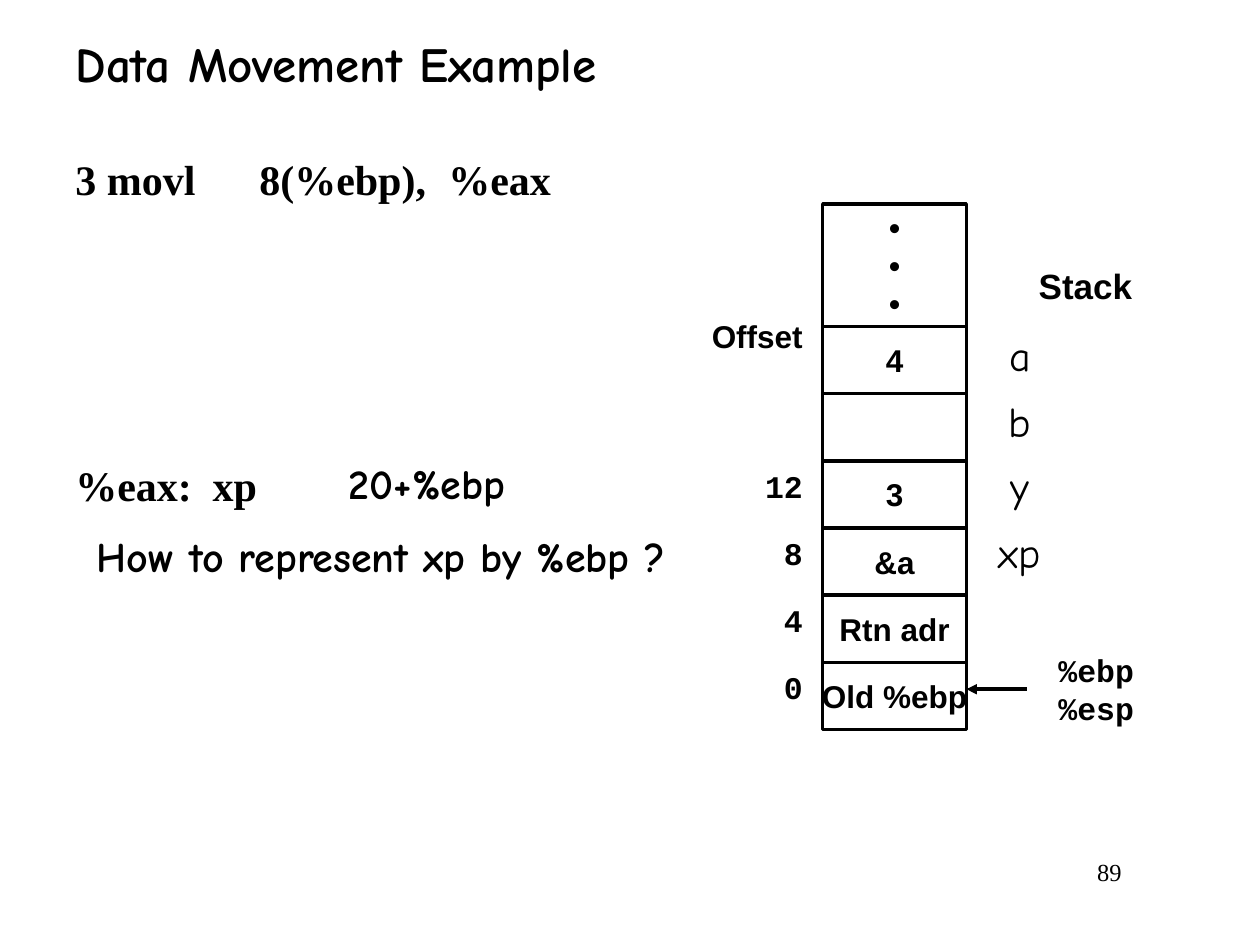
from pptx import Presentation
from pptx.dml.color import RGBColor
from pptx.enum.shapes import MSO_CONNECTOR as Connector, MSO_SHAPE as Shape
from pptx.enum.text import MSO_ANCHOR as Anchor, PP_ALIGN as Align
from pptx.oxml.xmlchemy import OxmlElement
from pptx.util import Inches, Pt

COLORS = {"ink": "000000", "paper": "FFFFFF"}
COMIC, SERIF, SANS, MONO = "Comic Neue", "Times New Roman", "Arial", "Courier New"


def color(name):
    return RGBColor.from_string(COLORS[name])


def write(frame, text, font, size, align=Align.LEFT, bold=True):
    frame.text = text
    for para in frame.paragraphs:
        para.alignment = align
        for span in para.runs:
            span.font.name = font
            span.font.size = Pt(size)
            span.font.bold = bold
            span.font.color.rgb = color("ink")


def add_label(page, box, text, font, size, align=Align.LEFT, bold=True):
    label = page.shapes.add_textbox(*map(Inches, box))
    label.text_frame.word_wrap = True
    write(label.text_frame, text, font, size, align, bold)
    return label.text_frame


def add_tabs(para, positions):
    tab_list = OxmlElement("a:tabLst")
    for position in positions:
        tab = OxmlElement("a:tab")
        tab.set("pos", str(Inches(position)))
        tab.set("algn", "l")
        tab_list.append(tab)
    para._p.get_or_add_pPr().append(tab_list)


def add_title(page, box, text):
    title = page.shapes.title
    title.left, title.top, title.width, title.height = map(Inches, box)
    title.text_frame.vertical_anchor = Anchor.MIDDLE
    write(title.text_frame, text, COMIC, 28)


def add_code(page, box):
    text = "3 movl\t8(%ebp),\t%eax\n%eax:\txp"
    frame = add_label(page, box, text, SERIF, 24)
    instruction, result = frame.paragraphs
    add_tabs(instruction, [1.46, 2.96])
    add_tabs(result, [1.09])
    result.space_before = Pt(146)


def add_slot(page, box, text):
    slot = page.shapes.add_shape(Shape.RECTANGLE, *map(Inches, box))
    slot.shadow.inherit = False
    slot.fill.solid()
    slot.fill.fore_color.rgb = color("paper")
    slot.line.color.rgb = color("ink")
    slot.line.width = Pt(2)
    slot.text_frame.word_wrap = False
    slot.text_frame.vertical_anchor = Anchor.MIDDLE
    write(slot.text_frame, text, SANS, 18, Align.CENTER)


def add_stack(page, box):
    left, top, width, height = box
    slots = [("4", ""), ("", ""), ("3", "12"), ("&a", "8"),
             ("Rtn adr", "4"), ("Old %ebp", "0")]
    dots_height = 0.97
    step = (height - dots_height) / len(slots)
    add_slot(page, (left, top, width, dots_height), "•\n•\n•")
    for index, (value, offset) in enumerate(slots):
        slot_top = top + dots_height + index * step
        add_slot(page, (left, slot_top, width, step), value)
        if offset:
            add_label(page, (left - 0.71, slot_top, 0.65, 0.4), offset, MONO, 18, Align.RIGHT)
    add_label(page, (left - 1.06, 2.47, 1, 0.4), "Offset", SANS, 18, Align.RIGHT)
    add_label(page, (left + 1.54, 2.05, 1.09, 0.5), "Stack", SANS, 20, Align.CENTER)


def add_variables(page, box, names):
    table = page.shapes.add_table(len(names), 1, *map(Inches, box)).table
    table.first_row = table.horz_banding = False
    for row, name in enumerate(names):
        cell = table.cell(row, 0)
        cell.fill.solid()
        cell.fill.fore_color.rgb = color("paper")
        write(cell.text_frame, name, COMIC, 24, Align.CENTER, bold=False)


def add_pointer(page, box):
    left, top, width, height = box
    middle = top + height / 2
    arrow = page.shapes.add_connector(
        Connector.STRAIGHT, Inches(left + 0.48), Inches(middle), Inches(left), Inches(middle))
    arrow.line.color.rgb = color("ink")
    arrow.line.width = Pt(2)
    head = OxmlElement("a:tailEnd")
    head.set("type", "triangle")
    arrow.line._get_or_add_ln().append(head)
    arrow._element.spPr.append(OxmlElement("a:effectLst"))
    add_label(page, (left + 0.58, top, width - 0.58, height), "%ebp\n%esp", MONO, 18, Align.CENTER)


def main():
    deck = Presentation()
    deck.slide_width, deck.slide_height = Inches(10), Inches(7.5)
    page = deck.slides.add_slide(deck.slide_layouts[5])
    add_title(page, (0.5, 0, 8.83, 1), "Data Movement Example")
    add_code(page, (0.5, 1.17, 4.5, 2.93))
    add_label(page, (0.67, 4.16, 5.44, 0.51), "How to represent xp by %ebp ?", COMIC, 24)
    add_label(page, (2.67, 3.58, 1.65, 0.5), "20+%ebp", COMIC, 24)
    add_stack(page, (6.53, 1.62, 1.14, 4.17))
    add_variables(page, (7.76, 2.6, 0.67, 2.08), ["a", "b", "y", "xp"])
    add_pointer(page, (7.67, 5.12, 1.48, 0.7))
    add_label(page, (7.58, 6.75, 1.42, 0.5), "89", SERIF, 14, Align.RIGHT, bold=False)
    deck.save("out.pptx")


if __name__ == "__main__":
    main()
